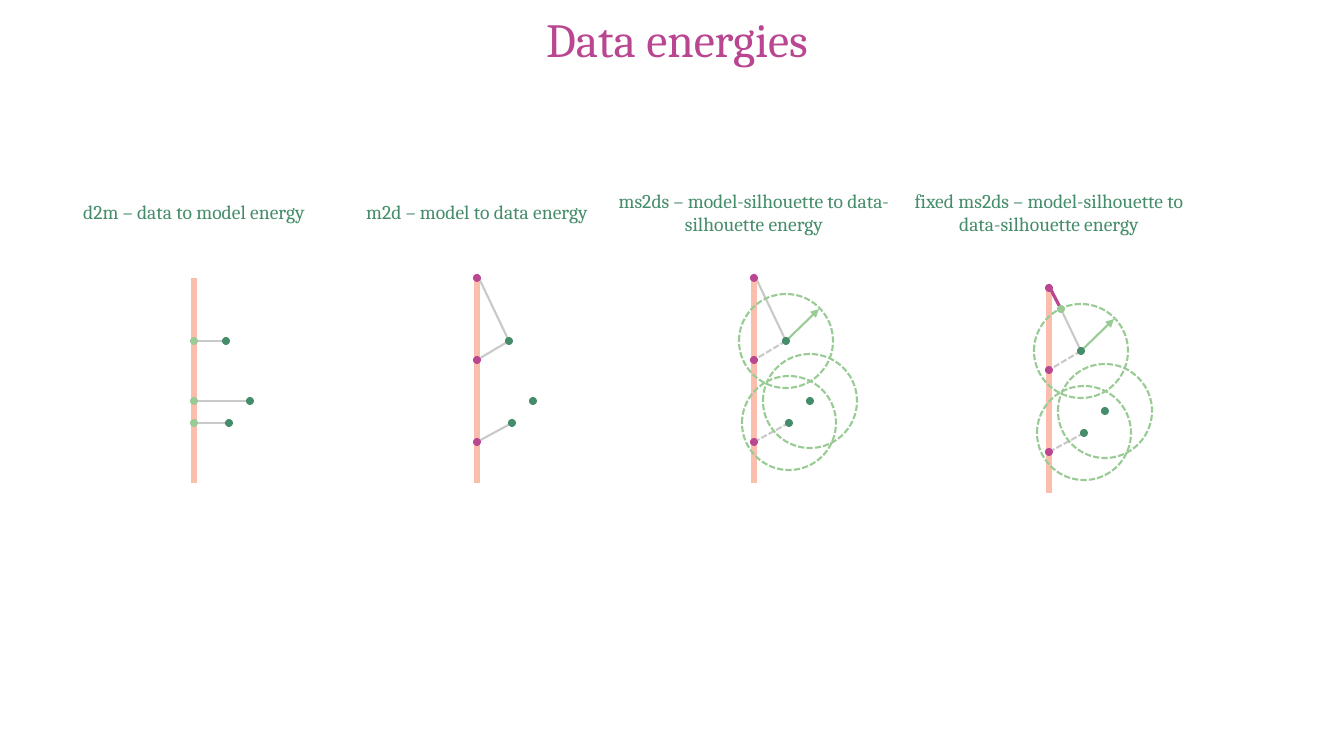
from dataclasses import dataclass

from lxml.etree import SubElement
from pptx import Presentation
from pptx.dml.color import RGBColor as Rgb
from pptx.enum.dml import MSO_LINE as Dash
from pptx.enum.shapes import MSO_CONNECTOR as Conn, MSO_SHAPE as Shape
from pptx.enum.text import MSO_ANCHOR as Anchor, PP_ALIGN as Align
from pptx.oxml.ns import qn
from pptx.util import Emu, Pt


@dataclass(frozen=True)
class Theme:
    font: str = "Cambria"
    title_size: int = 34
    caption_size: int = 14
    model: str = "BA4691"
    data: str = "448C6A"
    match: str = "99CB95"
    spine: str = "FCBEAC"
    link: str = "C9C9C9"
    thin: float = 1.5
    medium: float = 2.25
    thick: float = 4.5


THEME = Theme()
DOT, RING = 8, 94
SPINE_LENGTH = 205
MODEL_STEP = 82
MODEL_POINTS = [(0, i * MODEL_STEP) for i in range(3)]
DATA_POINTS = [(32, 63), (56, 123), (35, 145)]
UPPER, FAR, LOWER = DATA_POINTS
TOP, MIDDLE, BOTTOM = MODEL_POINTS


def px(n):
    return Emu(round(n * 914400 / 100.8))


def write(sp, text, size, color, align=Align.CENTER, anchor=Anchor.MIDDLE):
    tf = sp.text_frame
    tf.word_wrap = True
    tf.vertical_anchor = anchor
    p = tf.paragraphs[0]
    p.alignment = align
    r = p.add_run()
    r.text = text
    r.font.name = THEME.font
    r.font.size = Pt(size)
    r.font.color.rgb = Rgb.from_string(color)


def style_line(line, color, width, dashed):
    line.color.rgb = Rgb.from_string(color)
    line.width = Pt(width)
    if dashed:
        line.dash_style = Dash.SQUARE_DOT


def add_line(s, origin, start, end, color=THEME.link, width=THEME.thin,
             dashed=False, arrow=False):
    ox, oy = origin
    ends = (ox + start[0], oy + start[1], ox + end[0], oy + end[1])
    c = s.shapes.add_connector(Conn.STRAIGHT, *map(px, ends))
    style_line(c.line, color, width, dashed)
    if arrow:
        SubElement(c.line._get_or_add_ln(), qn("a:tailEnd"), type="triangle")
    SubElement(c._element.spPr, qn("a:effectLst"))


def add_circle(s, origin, center, size):
    left = origin[0] + center[0] - size / 2
    top = origin[1] + center[1] - size / 2
    sp = s.shapes.add_shape(Shape.OVAL, *map(px, (left, top, size, size)))
    sp.shadow.inherit = False
    return sp


def add_dots(s, origin, centers, color):
    for center in centers:
        sp = add_circle(s, origin, center, DOT)
        sp.fill.solid()
        sp.fill.fore_color.rgb = Rgb.from_string(color)
        sp.line.fill.background()


def add_rings(s, origin):
    for center in DATA_POINTS:
        sp = add_circle(s, origin, center, RING)
        sp.fill.background()
        style_line(sp.line, THEME.match, THEME.thin, True)


def add_spine(s, origin):
    add_line(s, origin, TOP, (0, SPINE_LENGTH), THEME.spine, THEME.thick)


def add_title(s, box, text):
    sp = s.shapes.title
    sp.left, sp.top, sp.width, sp.height = map(px, box)
    write(sp, text, THEME.title_size, THEME.model)


def add_caption(s, box, text):
    sp = s.shapes.add_textbox(*map(px, box))
    write(sp, text, THEME.caption_size, THEME.data)


def data_to_model(s, origin):
    feet = [(0, y) for _, y in DATA_POINTS]
    for foot, point in zip(feet, DATA_POINTS):
        add_line(s, origin, point, foot)
    add_spine(s, origin)
    add_dots(s, origin, DATA_POINTS, THEME.data)
    add_dots(s, origin, feet, THEME.match)


def model_to_data(s, origin, dashed=False):
    add_line(s, origin, UPPER, (0, -4))
    add_line(s, origin, UPPER, MIDDLE, dashed=dashed)
    add_line(s, origin, LOWER, BOTTOM, dashed=dashed)
    add_spine(s, origin)
    add_dots(s, origin, DATA_POINTS, THEME.data)
    add_dots(s, origin, MODEL_POINTS, THEME.model)


def silhouette(s, origin):
    add_line(s, origin, UPPER, (UPPER[0] + 33, UPPER[1] - 32),
             THEME.match, arrow=True)
    model_to_data(s, origin, dashed=True)
    add_rings(s, origin)


def fixed_silhouette(s, origin):
    silhouette(s, origin)
    crossing = (12, 21)
    add_line(s, origin, crossing, (2, 2), THEME.model, THEME.medium)
    add_dots(s, origin, [crossing], THEME.match)


def add_panel(s, box, text, draw, caption_height, gap):
    left, top, width, _ = box
    add_caption(s, (left, top - caption_height / 2, width, caption_height), text)
    draw(s, (left + width / 2, top + gap))


def main():
    prs = Presentation()
    prs.slide_width, prs.slide_height = px(1344), px(756)
    s = prs.slides.add_slide(prs.slide_layouts[5])
    add_title(s, (53, 5, 1248, 67), "Data energies")
    panels = [
        (65, 258, "d2m – data to model energy", data_to_model, 34, 66),
        (348, 258, "m2d – model to data energy", model_to_data, 34, 66),
        (608, 292, "ms2ds – model-silhouette to data-silhouette energy",
         silhouette, 57, 66),
        (903, 292, "fixed ms2ds – model-silhouette to data-silhouette energy",
         fixed_silhouette, 57, 76),
    ]
    for left, width, text, draw, caption_height, gap in panels:
        add_panel(s, (left, 212, width, 282), text, draw, caption_height, gap)
    prs.save("out.pptx")


if __name__ == "__main__":
    main()
